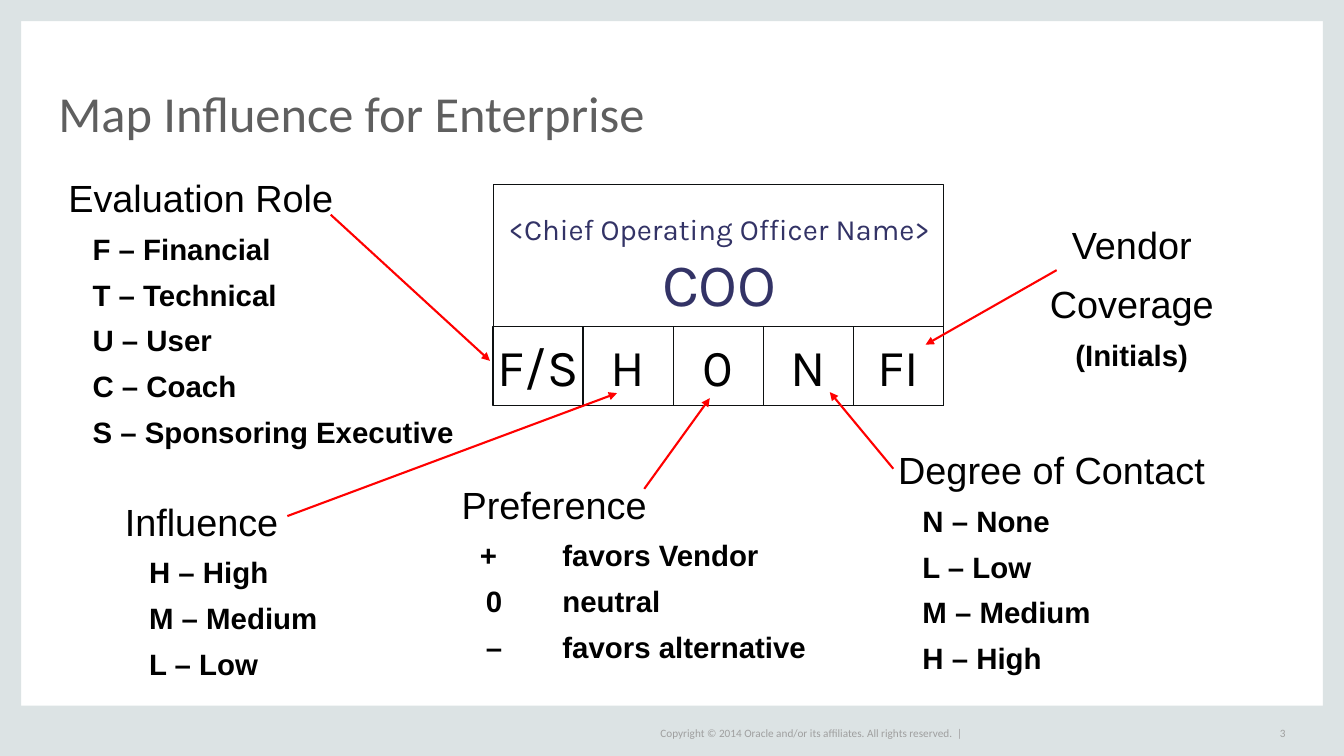
from lxml import etree
from pptx import Presentation
from pptx.dml.color import RGBColor
from pptx.enum.shapes import MSO_CONNECTOR, MSO_SHAPE
from pptx.enum.text import MSO_ANCHOR, PP_ALIGN
from pptx.oxml.ns import qn
from pptx.util import Inches, Pt

RECTANGLE = MSO_SHAPE.RECTANGLE
STRAIGHT = MSO_CONNECTOR.STRAIGHT
TOP, MIDDLE, BOTTOM = MSO_ANCHOR.TOP, MSO_ANCHOR.MIDDLE, MSO_ANCHOR.BOTTOM
LEFT, CENTER, RIGHT = PP_ALIGN.LEFT, PP_ALIGN.CENTER, PP_ALIGN.RIGHT

COLORS = {
    "frame": "DCE3E4",
    "footer": "9F9F9F",
    "title": "5F5F5F",
    "name": "333366",
    "text": "000000",
    "outline": "0D1011",
    "arrow": "FF0000",
}
INDENT = 0.24
TAB_COLUMN = 1
CELL_WIDTH = 0.893


def rgb(name):
    return RGBColor.from_string(COLORS[name])


def format_paragraph(paragraph, size, font, color, align=LEFT, bold=False, spacing=None):
    paragraph.alignment = align
    if spacing:
        paragraph.line_spacing = spacing
    for run in paragraph.runs:
        run.font.size = Pt(size)
        run.font.name = font
        run.font.bold = bold
        run.font.color.rgb = rgb(color)


def add_rectangle(slide, left, top, width, height, fill=None, line=None):
    shape = slide.shapes.add_shape(
        RECTANGLE, Inches(left), Inches(top), Inches(width), Inches(height))
    shape.shadow.inherit = False
    if fill:
        shape.fill.solid()
        shape.fill.fore_color.rgb = rgb(fill)
    else:
        shape.fill.background()
    if line:
        shape.line.color.rgb = rgb(line)
        shape.line.width = Pt(0.75)
    else:
        shape.line.fill.background()
    return shape


def add_text_frame(slide, left, top, width, height, anchor=TOP, inset=True):
    box = slide.shapes.add_textbox(
        Inches(left), Inches(top), Inches(width), Inches(height))
    frame = box.text_frame
    frame.word_wrap = True
    frame.vertical_anchor = anchor
    if not inset:
        frame.margin_left = frame.margin_right = 0
        frame.margin_top = frame.margin_bottom = 0
    return frame


def add_label(slide, position, text, size, color, anchor, align=LEFT, spacing=None):
    frame = add_text_frame(slide, *position, anchor=anchor, inset=False)
    frame.text = text
    format_paragraph(frame.paragraphs[0], size, "Calibri", color, align, spacing=spacing)


def indent_paragraph(paragraph, first_line, hanging):
    properties = paragraph._p.get_or_add_pPr()
    margin = TAB_COLUMN if hanging else first_line
    properties.set("marL", str(Inches(margin)))
    properties.set("indent", str(Inches(first_line - margin)))


def add_legend(slide, position, heading, items, align=LEFT):
    frame = add_text_frame(slide, *position)
    frame.text = heading
    format_paragraph(frame.paragraphs[0], 27, "Arial", "text", align, spacing=1.3)
    for item in items:
        paragraph = frame.add_paragraph()
        paragraph.text = item
        if align == LEFT:
            first_line = 0.18 if item.startswith("+") else INDENT
            indent_paragraph(paragraph, first_line, "\t" in item)
        format_paragraph(paragraph, 21, "Arial", "text", align, True, 1.3)


def add_arrow(slide, start_x, start_y, end_x, end_y):
    connector = slide.shapes.add_connector(
        STRAIGHT, Inches(start_x), Inches(start_y), Inches(end_x), Inches(end_y))
    connector.line.color.rgb = rgb("arrow")
    connector.line.width = Pt(1.5)
    etree.SubElement(connector.line._get_or_add_ln(), qn("a:tailEnd"), type="triangle")
    etree.SubElement(connector._element.spPr, qn("a:effectLst"))


def add_frame(slide):
    for position in [
        (0, 0, 0.21, 7.5),
        (13.12, 0, 0.21, 7.5),
        (0, 7, 13.33, 0.5),
        (0, 0, 13.33, 0.21),
    ]:
        add_rectangle(slide, *position, fill="frame")


def add_role_card(slide):
    frame = add_text_frame(slide, 4.93, 2.04, 4.41, 1.18)
    frame.text = "<Chief Operating Officer Name>\nCOO"
    for paragraph, size in zip(frame.paragraphs, (21, 43)):
        format_paragraph(paragraph, size, "Karla", "name", CENTER)
    for index, code in enumerate(("F/S", "H", "0", "N", "FI")):
        cell = add_rectangle(
            slide, 4.89 + index * CELL_WIDTH, 3.24, CELL_WIDTH, 0.78, line="outline")
        cell.text_frame.text = code
        cell.text_frame.word_wrap = False
        cell.text_frame.vertical_anchor = MIDDLE
        format_paragraph(cell.text_frame.paragraphs[0], 37, "Karla", "text", CENTER)
    add_rectangle(slide, 4.89, 1.83, 5 * CELL_WIDTH, 2.19, line="outline")


def main():
    presentation = Presentation()
    presentation.slide_width = Inches(13.33)
    presentation.slide_height = Inches(7.5)
    slide = presentation.slides.add_slide(presentation.slide_layouts[6])

    add_frame(slide)
    add_label(slide, (6.55, 7.17, 3.05, 0.2),
              "Copyright © 2014 Oracle and/or its affiliates. All rights reserved.  |",
              8, "footer", MIDDLE)
    add_label(slide, (12.33, 7.17, 0.42, 0.2), "3", 8, "footer", MIDDLE, RIGHT)
    add_label(slide, (0.58, 0.44, 12.17, 0.97), "Map Influence for Enterprise",
              36, "title", BOTTOM, spacing=0.8)
    add_role_card(slide)

    add_legend(slide, (0.58, 1.55, 4.07, 2.99), "Evaluation Role",
               ["F – Financial", "T – Technical", "U – User", "C – Coach",
                "S – Sponsoring Executive"])
    add_legend(slide, (1.14, 4.76, 2.14, 2.07), "Influence",
               ["H – High", "M – Medium", "L – Low"])
    add_legend(slide, (4.48, 4.59, 3.65, 2.07), "Preference",
               ["+\tfavors Vendor", "0\tneutral", "–\tfavors alternative"])
    add_legend(slide, (8.81, 4.25, 3.89, 2.53), "Degree of Contact",
               ["N – None", "L – Low", "M – Medium", "H – High"])
    add_legend(slide, (10.04, 2.02, 2.37, 1.74), "Vendor\vCoverage",
               ["(Initials)"], CENTER)

    for points in [
        (3.28, 2.13, 4.86, 3.58),
        (2.85, 5.12, 6.12, 3.9),
        (6.39, 4.85, 7.04, 3.95),
        (8.86, 4.65, 8.23, 3.89),
        (10.48, 2.68, 9.18, 3.42),
    ]:
        add_arrow(slide, *points)

    presentation.save("out.pptx")


if __name__ == "__main__":
    main()
